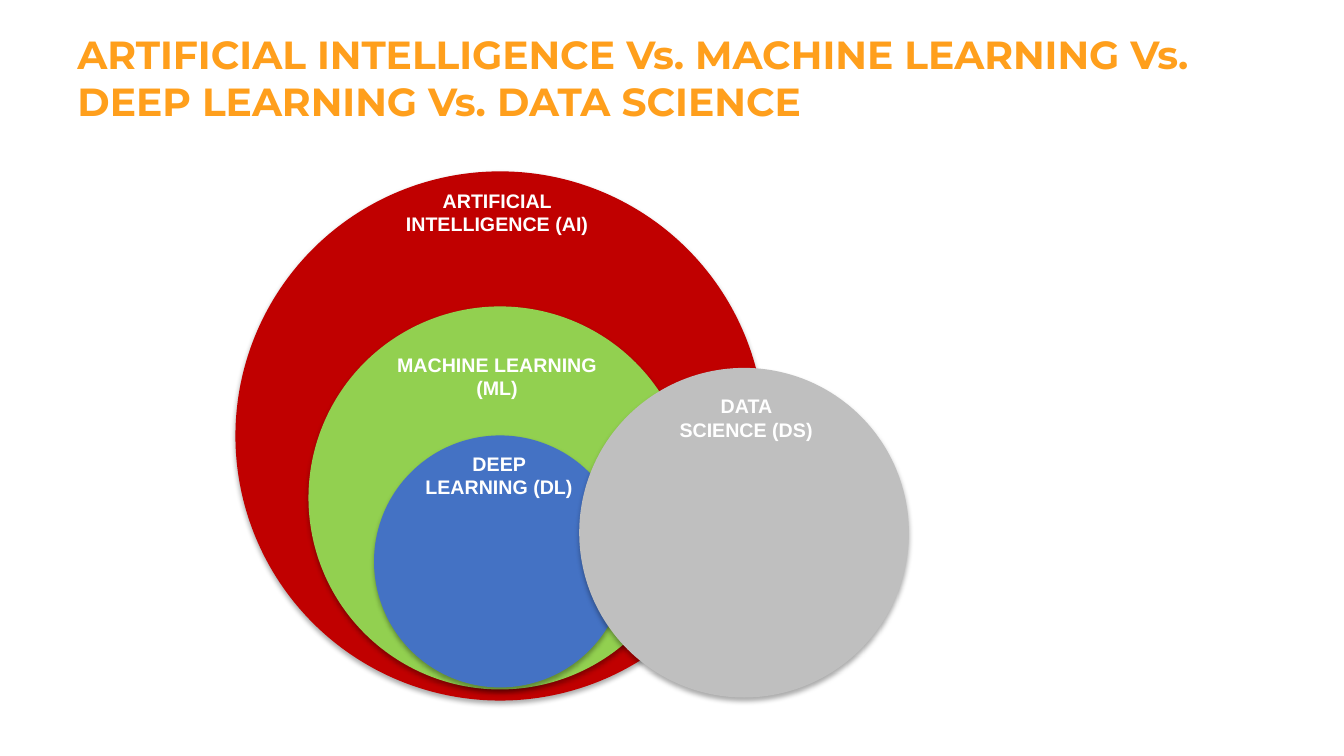
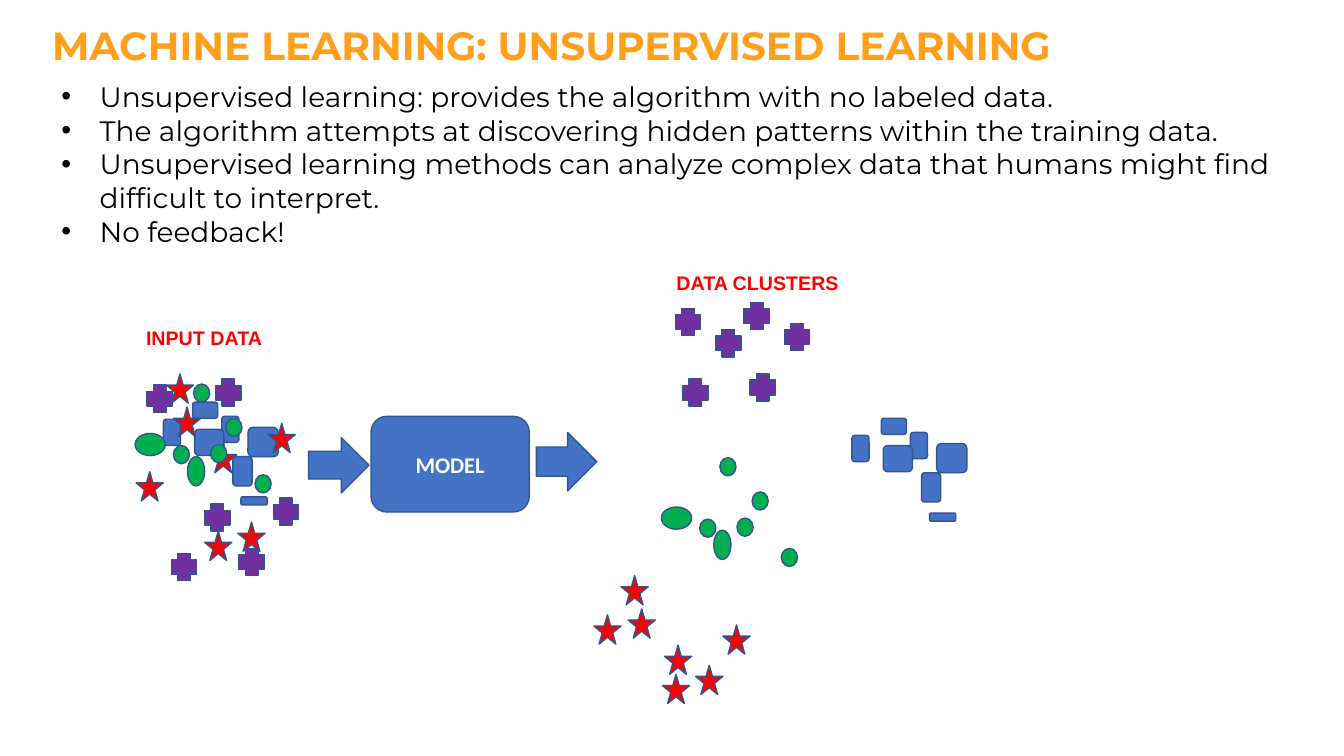
from pptx import Presentation
from pptx.dml.color import RGBColor
from pptx.enum.shapes import MSO_SHAPE as Kind
from pptx.enum.text import MSO_ANCHOR, MSO_AUTO_SIZE, PP_ALIGN
from pptx.oxml import parse_xml
from pptx.oxml.ns import nsdecls, qn
from pptx.util import Inches, Pt

HUES = {
    "title": "FF9F1C", "black": "000000", "white": "FFFFFF", "edge": "325491",
    "crimson": "C00000", "lime": "92D050", "blue": "4472C4", "grey": "BFBFBF",
    "red": "FF0000", "green": "00B050", "purple": "7030A0",
}
FONTS = {
    "title": {"name": "Montserrat", "size": Pt(28), "bold": True},
    "body": {"name": "Montserrat", "size": Pt(20), "bold": False},
    "label": {"name": "Arial", "size": Pt(14), "bold": True},
    "model": {"name": "Calibri", "size": Pt(16), "bold": True},
}


def write(shape, lines, style, hue, align=PP_ALIGN.LEFT, bullet=False):
    """Fill a shape with one paragraph per line in a named font style."""
    frame = shape.text_frame
    for i, line in enumerate(lines):
        para = frame.add_paragraph() if i else frame.paragraphs[0]
        para.alignment = align
        if bullet:
            props = para._p.get_or_add_pPr()
            props.set("marL", str(Inches(0.38)))
            props.set("indent", str(Inches(-0.38)))
            for xml in (
                f'<a:buClr {nsdecls("a")}><a:srgbClr val="{HUES[hue]}"/></a:buClr>',
                f'<a:buFont {nsdecls("a")} typeface="Arial"/>',
                f'<a:buChar {nsdecls("a")} char="•"/>',
            ):
                props.append(parse_xml(xml))
        run = para.add_run()
        run.text = line
        for key, value in FONTS[style].items():
            setattr(run.font, key, value)
        run.font.color.rgb = RGBColor.from_string(HUES[hue])


def draw(slide, kind, box, hue, edge=True):
    """Add a filled shape, or a text box when kind is None."""
    place = [Inches(n) for n in box]
    if kind is None:
        shape = slide.shapes.add_textbox(*place)
        shape.text_frame.word_wrap = True
        shape.text_frame.auto_size = MSO_AUTO_SIZE.SHAPE_TO_FIT_TEXT
        return shape
    shape = slide.shapes.add_shape(kind, *place)
    shape.shadow.inherit = False
    shape.fill.solid()
    shape.fill.fore_color.rgb = RGBColor.from_string(HUES[hue])
    if edge:
        shape.line.color.rgb = RGBColor.from_string(HUES["edge"])
        shape.line.width = Pt(1)
    else:
        shape.line.fill.background()
    return shape


deck = Presentation()
deck.slide_width, deck.slide_height = Inches(13.33), Inches(7.5)
blank = deck.slide_layouts[6]

# Slide 1: nested fields
venn = deck.slides.add_slide(blank)
title = draw(venn, None, (0.67, 0.25, 11.99, 1.45), None)
write(title, ["ARTIFICIAL INTELLIGENCE Vs. MACHINE LEARNING Vs. "
              "DEEP LEARNING Vs. DATA SCIENCE"], "title", "title")

# Circle: centre x, top, size, hue; label: centre x, top, width, text
fields = [
    (4.96, 1.7, 5.25, "crimson", 4.93, 1.82, 2.52, "ARTIFICIAL INTELLIGENCE (AI)"),
    (4.96, 3.04, 3.8, "lime", 4.93, 3.45, 2.27, "MACHINE LEARNING (ML)"),
    (4.96, 4.32, 2.5, "blue", 4.95, 4.43, 1.77, "DEEP LEARNING (DL)"),
    (7.38, 3.65, 3.27, "grey", 7.4, 3.86, 1.55, "DATA SCIENCE (DS)"),
]
for mid, top, size, hue, center, y, width, text in fields:
    disc = draw(venn, Kind.OVAL, (mid - size / 2, top, size, size), hue, edge=False)
    disc._element.spPr.find(qn("a:effectLst")).append(parse_xml(
        f'<a:outerShdw {nsdecls("a")} blurRad="{Pt(3.5)}" dist="{Pt(2.2)}" '
        'dir="5400000" algn="ctr" rotWithShape="0"><a:srgbClr val="000000">'
        '<a:alpha val="32000"/></a:srgbClr></a:outerShdw>'))
    label = draw(venn, None, (center - width / 2, y, width, 0.71), None)
    write(label, [text], "label", "white", PP_ALIGN.CENTER)

# Slide 2: unsupervised learning
learn = deck.slides.add_slide(blank)
body = draw(learn, None, (0.51, 0.74, 12.42, 1.78), None)
write(body, [
    "Unsupervised learning: provides the algorithm with no labeled data.",
    "The algorithm attempts at discovering hidden patterns within the training data.",
    "Unsupervised learning methods can analyze complex data that humans might find "
    "difficult to interpret.",
    "No feedback!",
], "body", "black", bullet=True)
title = draw(learn, None, (0.42, 0.16, 11.5, 0.57), None)
write(title, ["MACHINE LEARNING: UNSUPERVISED LEARNING"], "title", "title")

model = draw(learn, Kind.ROUNDED_RECTANGLE, (3.68, 4.13, 1.57, 0.95), "blue")
model.text_frame.vertical_anchor = MSO_ANCHOR.MIDDLE
write(model, ["MODEL"], "model", "white", PP_ALIGN.CENTER)
for box in ((5.32, 4.29, 0.6, 0.58), (3.06, 4.34, 0.6, 0.55)):
    draw(learn, Kind.RIGHT_ARROW, box, "blue")

# Each group: kind, hue, shift from input to cluster, input marks
star, dot, cross = (0.27, 0.29), (0.16, 0.18), (0.25, 0.27)
groups = [
    (Kind.ROUNDED_RECTANGLE, "blue", (6.83, 0.16), [
        (2.2, 4.13, 0.17, 0.26), (2.31, 4.53, 0.19, 0.29),
        (2.46, 4.24, 0.3, 0.29), (2.39, 4.93, 0.26, 0.08),
        (1.62, 4.16, 0.17, 0.26), (1.91, 3.99, 0.25, 0.16),
        (1.93, 4.26, 0.29, 0.26)]),
    (Kind.STAR_5_POINT, "red", (4.54, 1.42), [
        (2.03, 5.27, *star), (2.36, 5.18, *star), (1.35, 4.68, *star)]),
    (Kind.STAR_5_POINT, "red", (4.51, 2), [
        (1.72, 4.04, *star), (2.08, 4.4, *star),
        (2.66, 4.2, *star), (1.65, 3.71, *star)]),
    (Kind.OVAL, "green", (5.22, 0.73), [
        (1.86, 4.53, 0.17, 0.29), (2.09, 4.41, *dot), (2.53, 4.71, *dot),
        (1.92, 3.81, *dot), (1.72, 4.42, *dot), (2.24, 4.15, *dot),
        (1.34, 4.3, 0.3, 0.22)]),
    (Kind.CROSS, "purple", (5.07, -1.73), [
        (2.03, 5, *cross), (2.71, 4.94, *cross),
        (1.7, 5.49, *cross), (2.37, 5.44, *cross)]),
    (Kind.CROSS, "purple", (5.24, -0.76), [
        (1.46, 3.82, *cross), (2.14, 3.76, *cross)]),
]
for part in (0, 1):
    for kind, hue, (dx, dy), marks in groups:
        for x, y, w, h in marks:
            draw(learn, kind, (x + part * dx, y + part * dy, w, h), hue)

for text, box in (("INPUT DATA", (1.35, 3.18, 1.41, 0.34)),
                  ("DATA CLUSTERS", (6.61, 2.64, 1.82, 0.34))):
    label = draw(learn, None, box, None)
    label.text_frame.word_wrap = False
    write(label, [text], "label", "red")

deck.save("out.pptx")
